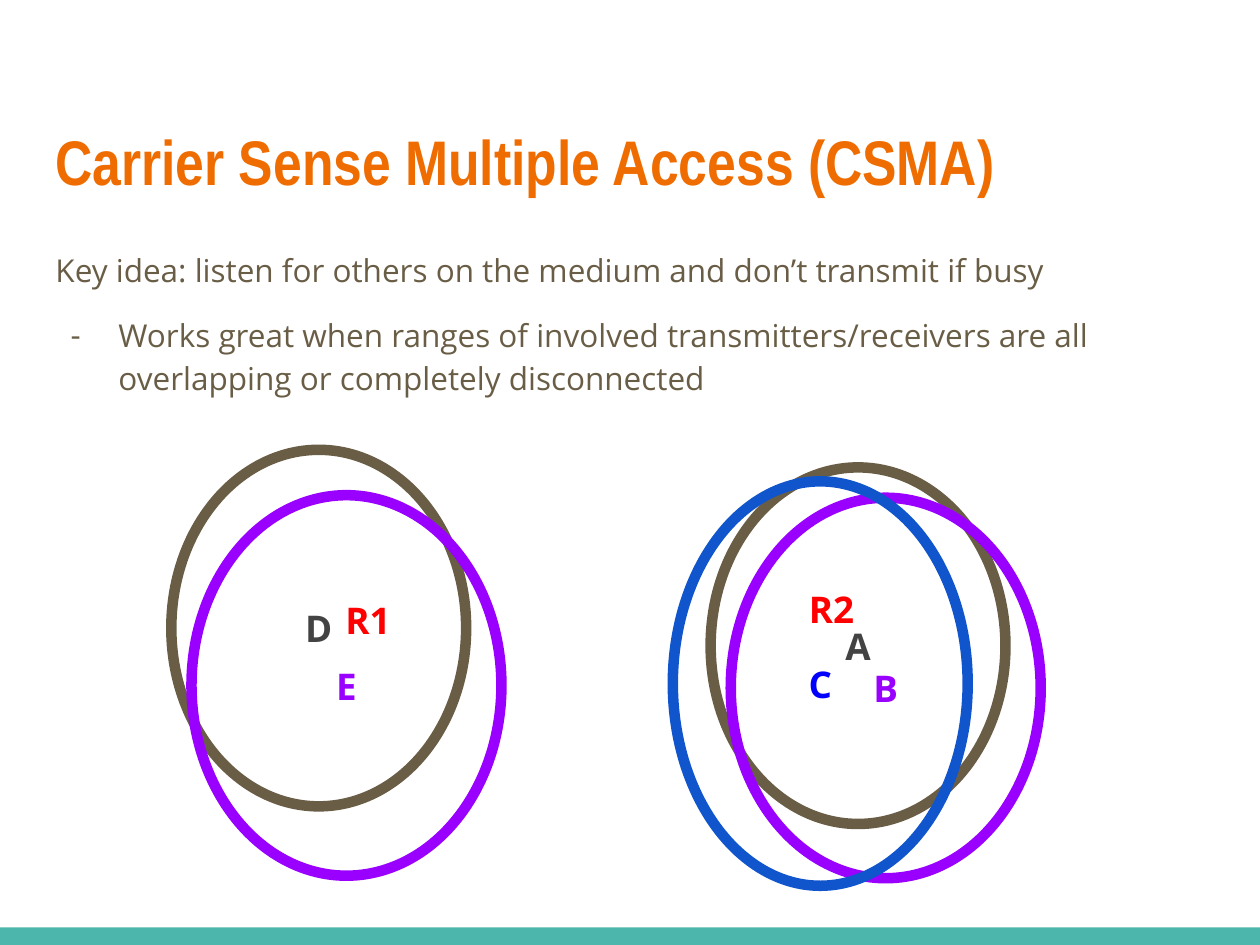
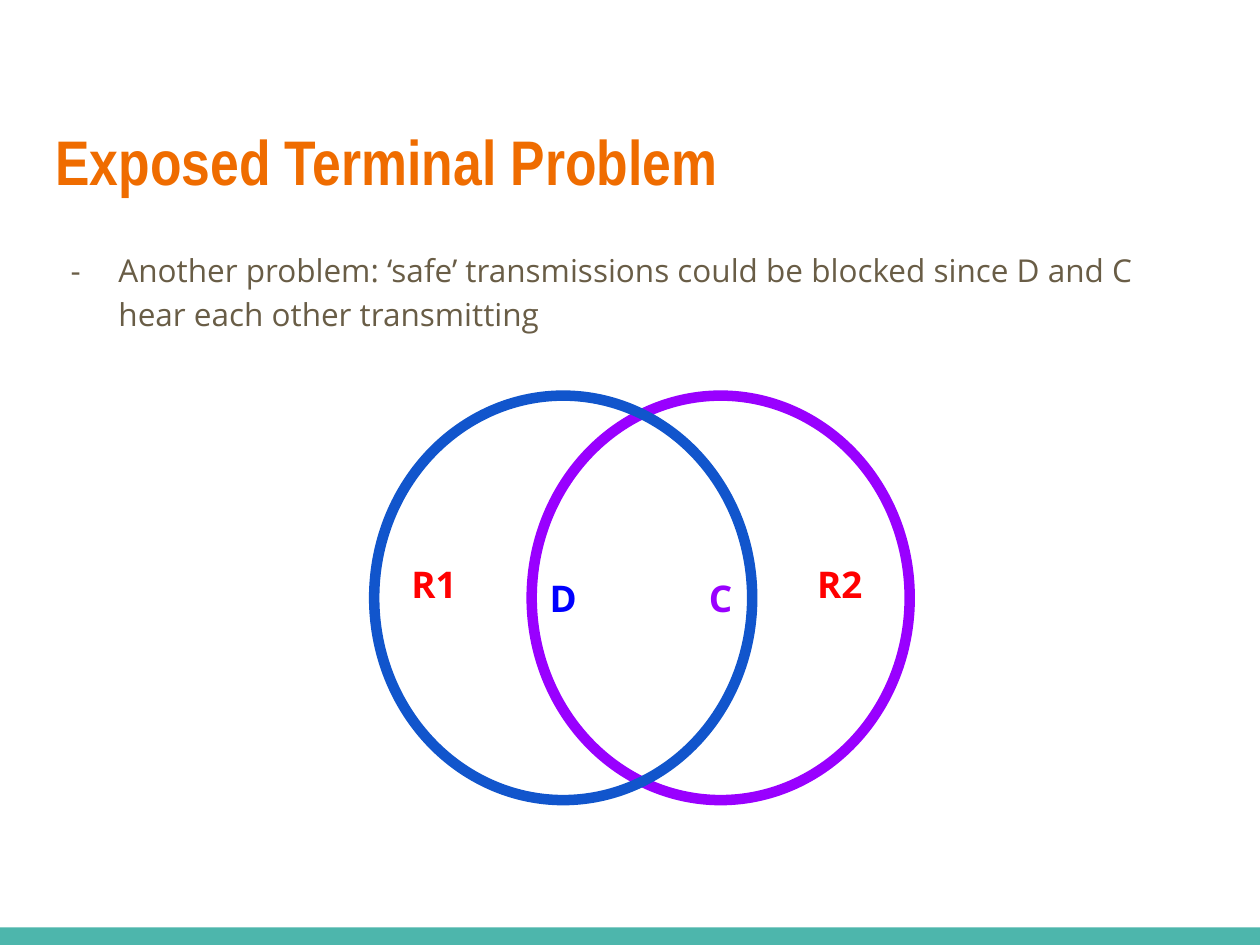
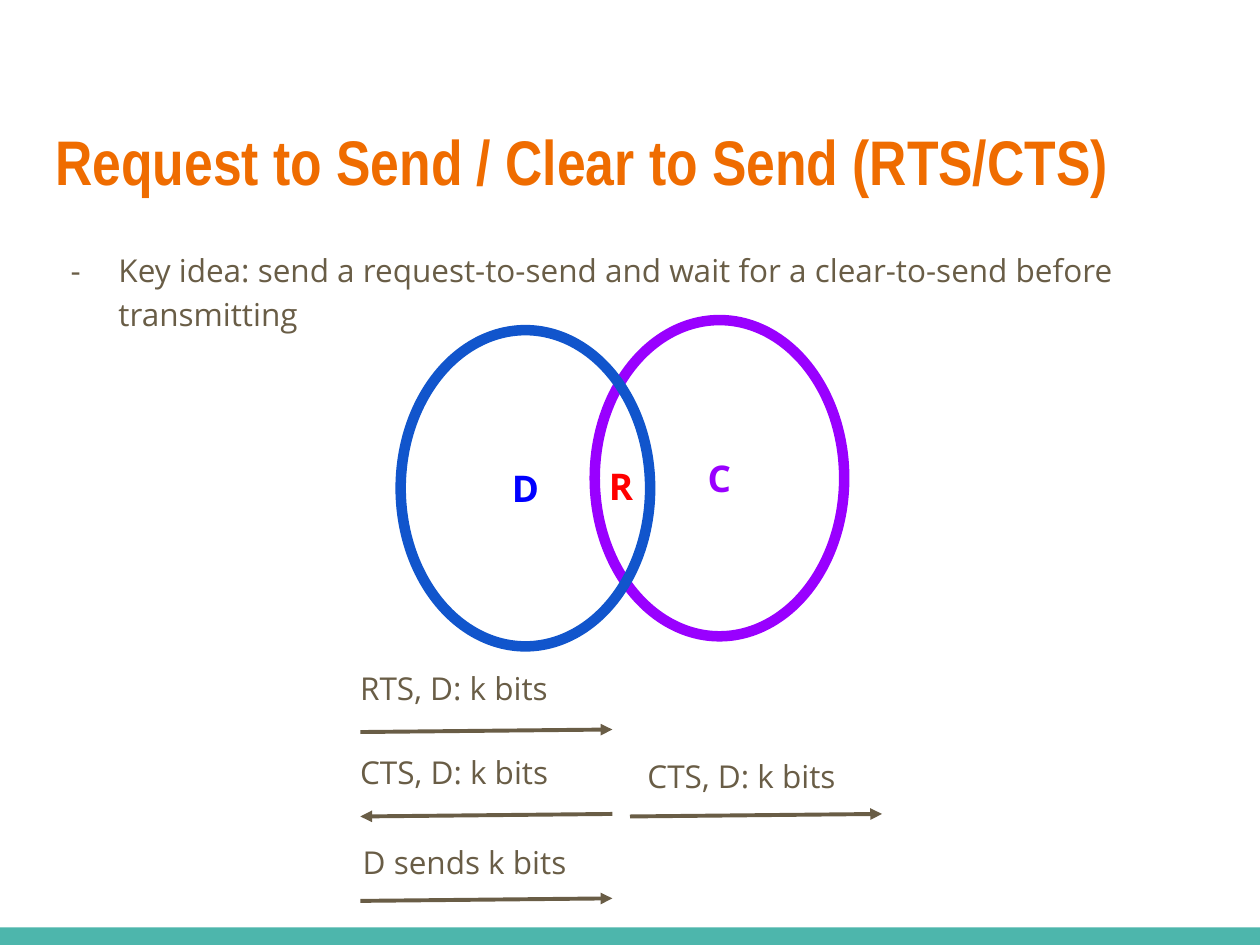
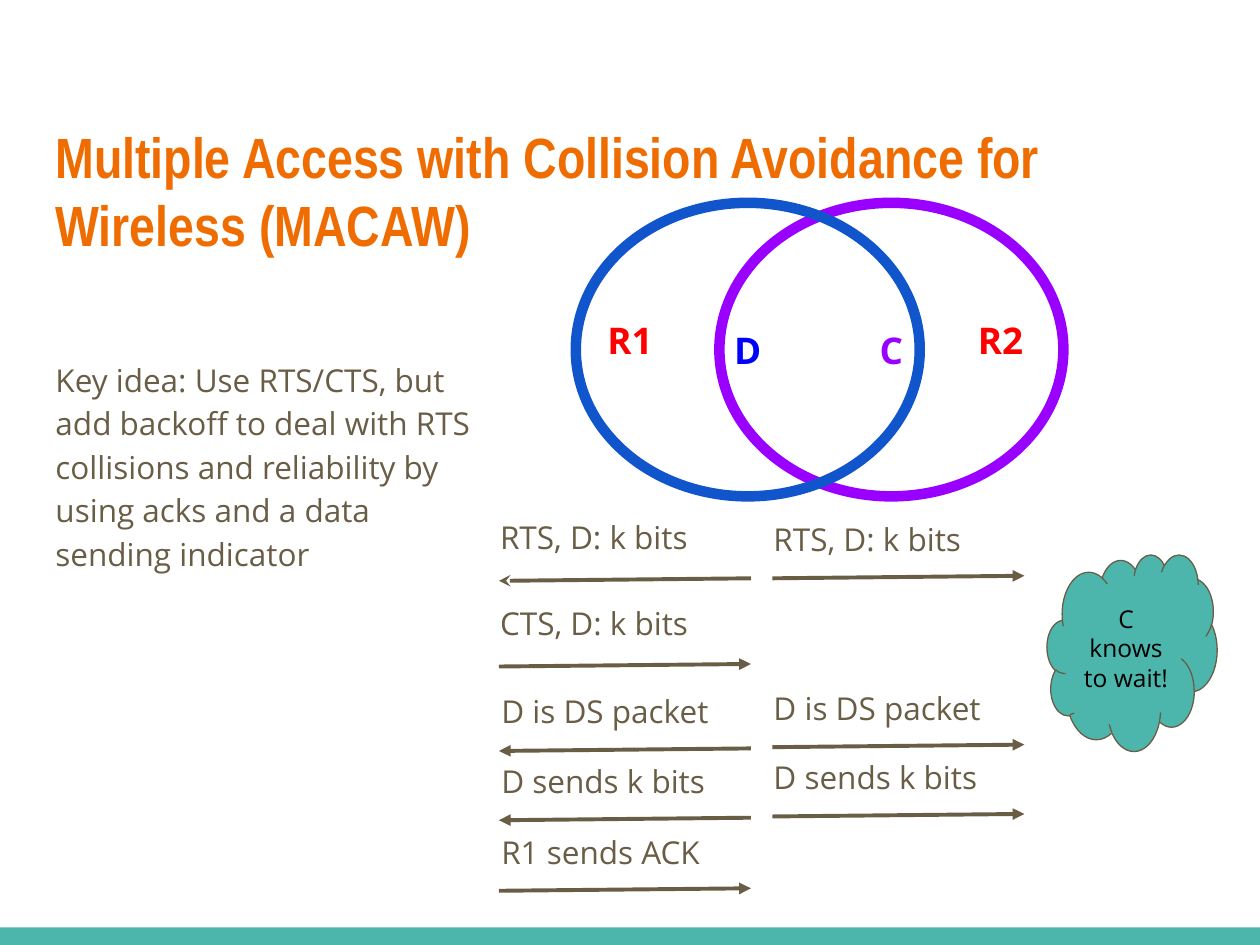
from lxml import etree
from pptx import Presentation
from pptx.dml.color import RGBColor
from pptx.enum.shapes import MSO_CONNECTOR, MSO_SHAPE
from pptx.enum.text import MSO_ANCHOR, MSO_AUTO_SIZE, PP_ALIGN
from pptx.oxml.ns import qn
from pptx.util import Inches, Pt

RECTANGLE, ELLIPSE, CLOUD = MSO_SHAPE.RECTANGLE, MSO_SHAPE.OVAL, MSO_SHAPE.CLOUD
STRAIGHT = MSO_CONNECTOR.STRAIGHT
TOP, MIDDLE = MSO_ANCHOR.TOP, MSO_ANCHOR.MIDDLE
LEFT, CENTER = PP_ALIGN.LEFT, PP_ALIGN.CENTER
NO_AUTOFIT = MSO_AUTO_SIZE.NONE

ORANGE = RGBColor(0xEF, 0x6C, 0x00)
TEAL = RGBColor(0x4D, 0xB6, 0xAC)
BROWN = RGBColor(0x69, 0x5D, 0x46)
GRAY = RGBColor(0x43, 0x43, 0x43)
RED = RGBColor(0xFF, 0x00, 0x00)
PURPLE = RGBColor(0x99, 0x00, 0xFF)
RING_BLUE = RGBColor(0x11, 0x55, 0xCC)
BLUE = RGBColor(0x00, 0x00, 0xFF)
BLACK = RGBColor(0x00, 0x00, 0x00)

TITLE_FONT = "Arial Narrow"
BODY_FONT = "Open Sans"
ARROW_LENGTH = 2
ARROW_RISE = 0.02


def inches(box):
    return [Inches(length) for length in box]


def set_bullet(paragraph, bullet):
    properties = paragraph._p.get_or_add_pPr()
    properties.set("marL", str(Inches(0.5) if bullet else 0))
    properties.set("indent", str(Inches(-0.38) if bullet else 0))
    if bullet:
        etree.SubElement(properties, qn("a:buFont"), typeface=BODY_FONT)
        etree.SubElement(properties, qn("a:buChar"), char=bullet)
    else:
        etree.SubElement(properties, qn("a:buNone"))


def write_paragraph(paragraph, text, font=BODY_FONT, size=18, color=BROWN, bold=False,
                    align=LEFT, line_spacing=1.0, space_before=0, bullet=None):
    set_bullet(paragraph, bullet)
    paragraph.alignment = align
    paragraph.line_spacing = line_spacing
    paragraph.space_before = Pt(space_before)
    paragraph.space_after = Pt(0)
    run = paragraph.add_run()
    run.text = text
    run.font.name = font
    run.font.size = Pt(size)
    run.font.bold = bold
    run.font.color.rgb = color


class Deck:
    def __init__(self):
        self.presentation = Presentation()
        self.presentation.slide_width = Inches(10)
        self.presentation.slide_height = Inches(7.5)
        self.layout = self.presentation.slide_layouts[1]
        self.slide = None

    def add_slide(self, title, title_size=36):
        first = self.slide is None
        self.slide = self.presentation.slides.add_slide(self.layout)
        if first:
            band = self.shape(RECTANGLE, (0, 7.36, 10, 0.14), fill=TEAL)
            self.layout.shapes.element.append(band.element)
        frame = self.place(self.slide.shapes.title, (0.34, 0.87, 9.32, 1.38))
        write_paragraph(frame.paragraphs[0], title, font=TITLE_FONT, size=title_size,
                        color=ORANGE, bold=True)

    def frame(self, shape, anchor=TOP):
        frame = shape.text_frame
        frame.word_wrap = True
        frame.auto_size = NO_AUTOFIT
        frame.vertical_anchor = anchor
        frame.margin_left = frame.margin_right = Inches(0.1)
        frame.margin_top = frame.margin_bottom = Inches(0.1)
        return frame

    def place(self, placeholder, box):
        placeholder.left, placeholder.top, placeholder.width, placeholder.height = inches(box)
        return self.frame(placeholder)

    def body(self, box, *items):
        frame = self.place(self.slide.placeholders[1], box)
        for index, (text, bullet) in enumerate(items):
            paragraph = frame.add_paragraph() if index else frame.paragraphs[0]
            write_paragraph(paragraph, text, line_spacing=1.15, bullet=bullet,
                            space_before=12 if index else 0)

    def shape(self, kind, box, fill=None, line=None, line_width=6):
        shape = self.slide.shapes.add_shape(kind, *inches(box))
        shape.shadow.inherit = False
        if fill is None:
            shape.fill.background()
        else:
            shape.fill.solid()
            shape.fill.fore_color.rgb = fill
        if line is None:
            shape.line.fill.background()
        else:
            shape.line.color.rgb = line
            shape.line.width = Pt(line_width)
        return shape

    def station(self, name, box, color, ring=None):
        frame = self.frame(self.shape(ELLIPSE, box, line=ring), MIDDLE)
        write_paragraph(frame.paragraphs[0], name, size=21, color=color, bold=True, align=CENTER)

    def thought(self, text, box):
        cloud = self.shape(CLOUD, box, fill=TEAL, line=BROWN, line_width=0.75)
        write_paragraph(self.frame(cloud, MIDDLE).paragraphs[0], text, size=14,
                        color=BLACK, align=CENTER)

    def label(self, text, left, top):
        box = self.slide.shapes.add_textbox(*inches((left, top, 2.19, 0.5)))
        write_paragraph(self.frame(box).paragraphs[0], text)

    def arrow(self, left, top, end, style="triangle"):
        points = (left, top, left + ARROW_LENGTH, top - ARROW_RISE)
        connector = self.slide.shapes.add_connector(STRAIGHT, *inches(points))
        connector.line.color.rgb = BROWN
        connector.line.width = Pt(2.25)
        etree.SubElement(connector.line._get_or_add_ln(), qn(f"a:{end}End"), type=style)
        etree.SubElement(connector.element.spPr, qn("a:effectLst"))

    def message(self, text, label_at, arrow_at, end="tail", style="triangle"):
        self.arrow(*arrow_at, end, style)
        self.label(text, *label_at)


def build_carrier_sense(deck):
    deck.add_slide("Carrier Sense Multiple Access (CSMA)")
    deck.body(
        (0.34, 1.85, 9.32, 1.56),
        ("Key idea: listen for others on the medium and don’t transmit if busy", None),
        ("Works great when ranges of involved transmitters/receivers are all "
         "overlapping or completely disconnected", "-"),
    )
    deck.station("A", (5.64, 3.71, 2.34, 2.83), GRAY, BROWN)
    deck.station("R2", (5.54, 3.32, 2.12, 3.02), RED)
    deck.station("B", (5.8, 3.95, 2.46, 3.02), PURPLE, PURPLE)
    deck.station("C", (5.34, 3.82, 2.34, 3.21), BLUE, RING_BLUE)
    deck.station("D", (1.36, 3.57, 2.34, 2.83), GRAY, BROWN)
    deck.station("E", (1.52, 3.93, 2.46, 3.02), PURPLE, PURPLE)
    deck.station("R1", (1.86, 3.41, 2.12, 3.02), RED)


def build_exposed_terminal(deck):
    deck.add_slide("Exposed Terminal Problem")
    deck.body(
        (0.34, 1.85, 9.32, 1.12),
        ("Another problem: ‘safe’ transmissions could be blocked since D and C "
         "hear each other transmitting", "-"),
    )
    deck.station("R1", (2.39, 3.38, 2.11, 2.5), RED)
    deck.station("C", (4.22, 3.14, 3, 3.21), PURPLE, PURPLE)
    deck.station("D", (2.97, 3.14, 3, 3.21), BLUE, RING_BLUE)
    deck.station("R2", (5.61, 3.38, 2.11, 2.5), RED)


def build_request_to_send(deck):
    deck.add_slide("Request to Send / Clear to Send (RTS/CTS)")
    deck.body(
        (0.34, 1.85, 9.32, 3.47),
        ("Key idea: send a request-to-send and wait for a clear-to-send before "
         "transmitting", "-"),
    )
    deck.station("R", (4.08, 2.88, 1.7, 1.95), RED)
    deck.station("C", (4.72, 2.54, 1.98, 2.51), PURPLE, PURPLE)
    deck.station("D", (3.18, 2.62, 1.98, 2.51), BLUE, RING_BLUE)
    deck.message("RTS, D: k bits", (2.76, 5.21), (2.86, 5.81))
    deck.message("CTS, D: k bits", (2.76, 5.88), (2.86, 6.48), "head")
    deck.message("CTS, D: k bits", (5.04, 5.91), (5, 6.48))
    deck.message("D sends k bits", (2.78, 6.59), (2.86, 7.15))


def build_collision_avoidance(deck):
    deck.add_slide("Multiple Access with Collision Avoidance for Wireless (MACAW)", 32.4)
    deck.body(
        (0.34, 2.72, 3.53, 3.94),
        ("Key idea: Use RTS/CTS, but add backoff to deal with RTS collisions and "
         "reliability by using acks and a data sending indicator", None),
    )
    deck.station("R1", (4.04, 1.79, 1.92, 1.81), RED)
    deck.station("C", (5.71, 1.61, 2.73, 2.33), PURPLE, PURPLE)
    deck.station("D", (4.57, 1.61, 2.73, 2.33), BLUE, RING_BLUE)
    deck.station("R2", (6.98, 1.79, 1.92, 1.81), RED)
    deck.message("RTS, D: k bits", (3.87, 4.01), (3.96, 4.61), "head", "stealth")
    deck.message("CTS, D: k bits", (3.87, 4.69), (3.96, 5.29))
    deck.message("D is DS packet", (3.88, 5.39), (3.96, 5.96), "head")
    deck.message("D sends k bits", (3.88, 5.95), (3.96, 6.51), "head")
    deck.message("R1 sends ACK", (3.88, 6.51), (3.96, 7.07))
    for text, top in (("RTS, D: k bits", 4.03), ("D is DS packet", 5.37),
                      ("D sends k bits", 5.92)):
        deck.message(text, (6.04, top), (6.13, top + 0.56))
    deck.thought("C knows to wait!", (8.31, 4.4, 1.35, 1.56))


def main():
    deck = Deck()
    build_carrier_sense(deck)
    build_exposed_terminal(deck)
    build_request_to_send(deck)
    build_collision_avoidance(deck)
    deck.presentation.save("out.pptx")


if __name__ == "__main__":
    main()
